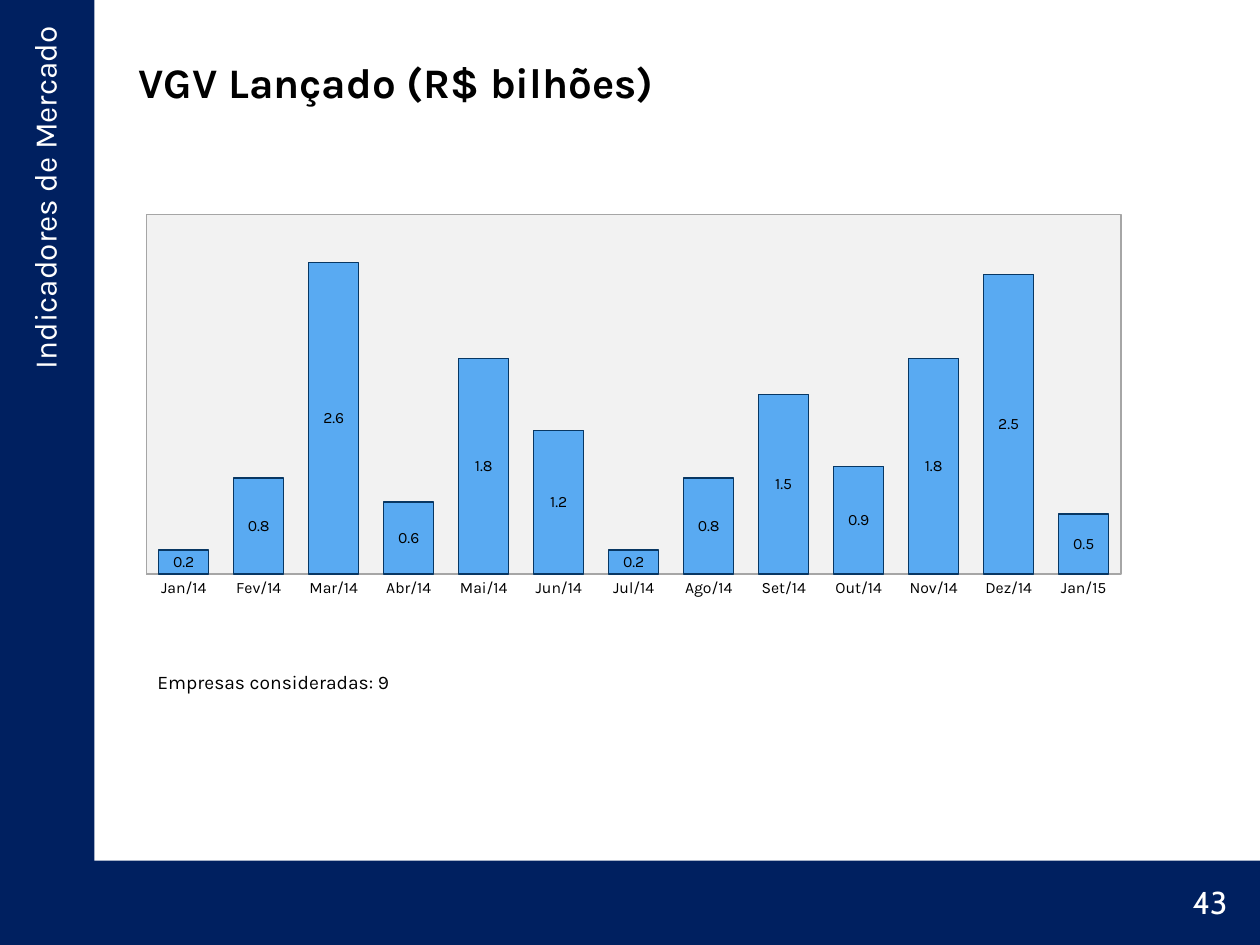
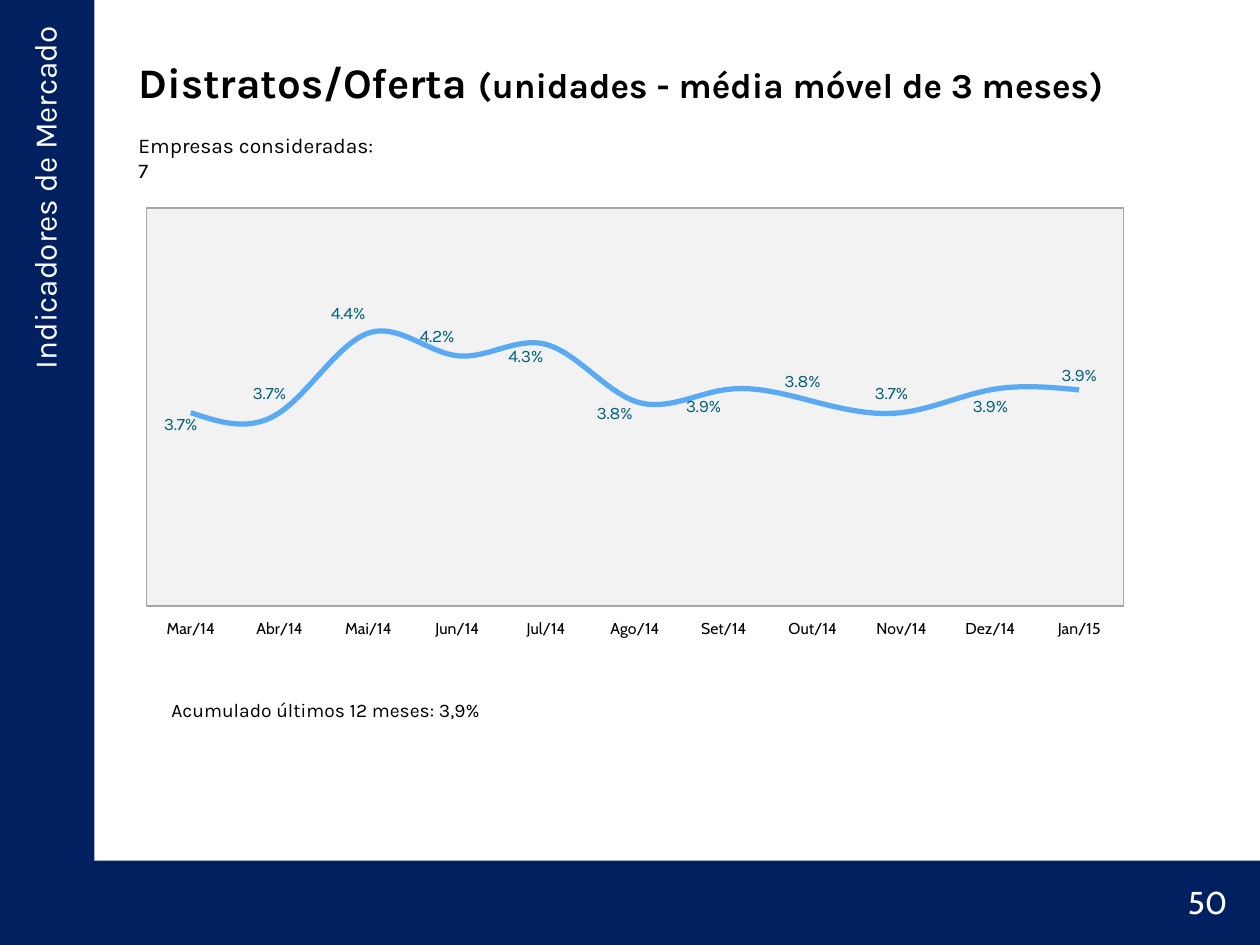
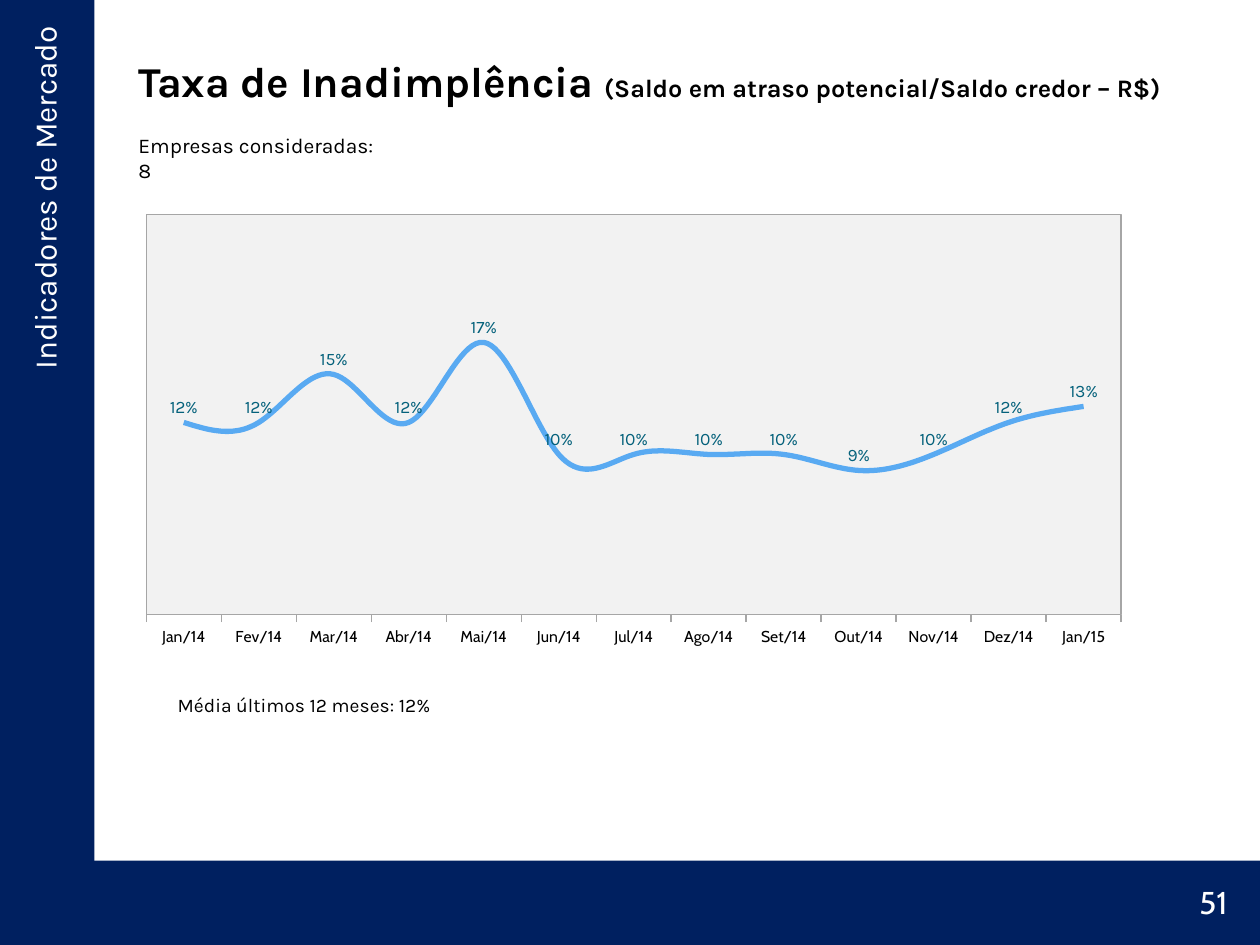
from pptx import Presentation
from pptx.chart.data import CategoryChartData
from pptx.dml.color import RGBColor
from pptx.enum.chart import XL_CHART_TYPE, XL_LABEL_POSITION, XL_TICK_MARK
from pptx.enum.shapes import MSO_SHAPE
from pptx.enum.text import MSO_ANCHOR, MSO_AUTO_SIZE, PP_ALIGN
from pptx.oxml import parse_xml
from pptx.oxml.ns import nsdecls
from pptx.util import Inches, Pt

COLORS = {
    "navy": "002060", "white": "FFFFFF", "black": "000000", "sky": "59AAF2", "coral": "FF6161",
    "outline": "083763", "plot": "F2F2F2", "border": "A6A6A6", "label": "04617B",
}
TEXT_FONT, NUMBER_FONT = "Karla", "Cabin"
WIDTH, HEIGHT = 10, 7.5
RAIL, BAND_TOP, OVERLAP = 0.75, 6.83, 0.01
SECTION = "Indicadores de Mercado"
MONTHS = ["Jan/14", "Fev/14", "Mar/14", "Abr/14", "Mai/14", "Jun/14", "Jul/14",
          "Ago/14", "Set/14", "Out/14", "Nov/14", "Dez/14", "Jan/15"]

SLIDES = [
    {
        "title": [("VGV Lançado (R$ bilhões)", 24)],
        "title_at": (1, 0.3, 8.5, 0.7),
        "number": "43",
        "companies": ("Empresas consideradas: 9", (1.15, 5.27, 2.3, 0.29), 11),
        "chart": {
            "kind": XL_CHART_TYPE.COLUMN_STACKED, "at": (1, 1.64, 8.06, 3.17),
            "plot_height": 0.9, "months": MONTHS, "range": (0, 3), "format": "#,##0.0",
            "values": [[0.2, 0.8, 2.6, 0.6, 1.8, 1.2, 0.2, 0.8, 1.5, 0.9, 1.8, 2.5, 0.5]],
            "axis_font": TEXT_FONT, "axis_line": True, "tick": XL_TICK_MARK.NONE,
        },
    },
    {
        "title": [("Distratos/Oferta ", 24), ("(unidades - média móvel de 3 meses)", 20)],
        "title_at": (1, 0.3, 8.5, 0.7),
        "number": "50",
        "companies": ("Empresas consideradas: 7", (1, 1, 2.12, 0.3), 12),
        "summary": ("Acumulado últimos 12 meses: 3,9%", (1.35, 5.5, 2.78, 0.23)),
        "chart": {
            "kind": XL_CHART_TYPE.LINE, "at": (1, 1.58, 8.08, 3.55),
            "plot_height": 0.89, "months": MONTHS[2:], "range": (0.02, 0.055), "format": "0.0%",
            "values": [[0.037, 0.037, 0.044, 0.042, 0.043, 0.038,
                        0.039, 0.038, 0.037, 0.039, 0.039], [None] * 10],
            "label_shifts": [(-0.01, 0.06), (-0.01, -0.01), (-0.02, -0.01), (-0.02, -0.01),
                             (-0.02, 0.06), (-0.02, 0.06), (-0.02, 0.07), (-0.01, -0.01),
                             (-0.01, -0.01), (0, 0.07)],
            "axis_font": NUMBER_FONT, "axis_line": False, "tick": XL_TICK_MARK.OUTSIDE,
        },
    },
    {
        "title": [("Taxa de Inadimplência ", 24.3),
                  ("(Saldo em atraso potencial/Saldo credor – R$)", 14.4)],
        "title_at": (1, 0.29, 8.5, 0.69),
        "number": "51",
        "companies": ("Empresas consideradas: 8", (1, 1, 2.12, 0.3), 12),
        "summary": ("Média últimos 12 meses: 12%", (1.4, 5.46, 2.15, 0.23)),
        "chart": {
            "kind": XL_CHART_TYPE.LINE, "at": (1, 1.63, 8.06, 3.57),
            "plot_height": 0.89, "months": MONTHS, "range": (0, 0.25), "format": "0%",
            "values": [[0.12, 0.12, 0.15, 0.12, 0.17, 0.1, 0.1,
                        0.1, 0.1, 0.09, 0.1, 0.12, 0.13]],
            "axis_font": NUMBER_FONT, "axis_line": True, "tick": XL_TICK_MARK.OUTSIDE,
        },
    },
]


def color(name):
    return RGBColor.from_string(COLORS[name])


def inches(box):
    return [Inches(length) for length in box]


def style(font, size, name="black", face=TEXT_FONT, bold=False):
    font.size, font.name, font.bold = Pt(size), face, bold
    font.color.rgb = color(name)


def add_run(paragraph, text, size, **look):
    run = paragraph.add_run()
    run.text = text
    style(run.font, size, **look)


def add_text(slide, text, box, size, align=PP_ALIGN.LEFT, **look):
    label = slide.shapes.add_textbox(*inches(box))
    label.text_frame.word_wrap = True
    paragraph = label.text_frame.paragraphs[0]
    paragraph.alignment = align
    add_run(paragraph, text, size, **look)
    return label


def add_frame(slide, layout):
    parts = []
    for box in ((0, BAND_TOP, WIDTH, HEIGHT - BAND_TOP), (0, 0, RAIL, BAND_TOP + OVERLAP)):
        band = slide.shapes.add_shape(MSO_SHAPE.RECTANGLE, *inches(box))
        band.shadow.inherit = False
        band.fill.solid()
        band.fill.fore_color.rgb = color("navy")
        band.line.fill.background()
        parts.append(band)
    section = add_text(slide, SECTION, (-2.55, 2.81, 5.8, 0.4), 18, PP_ALIGN.RIGHT, name="white")
    section.rotation = 270
    for part in parts + [section]:
        layout.shapes.element.append(part.element)


def add_title(slide, pieces, box):
    title = slide.shapes.title
    title.left, title.top, title.width, title.height = inches(box)
    frame = title.text_frame
    frame.auto_size = MSO_AUTO_SIZE.NONE
    frame.vertical_anchor = MSO_ANCHOR.MIDDLE
    frame.paragraphs[0].alignment = PP_ALIGN.LEFT
    for text, size in pieces:
        add_run(frame.paragraphs[0], text, size, bold=True)


def add_summary(slide, text, box):
    table = slide.shapes.add_table(1, 1, *inches(box)).table
    table.first_row = table.horz_banding = False
    cell = table.cell(0, 0)
    cell.fill.background()
    cell.vertical_anchor = MSO_ANCHOR.BOTTOM
    cell.margin_left = cell.margin_top = cell.margin_right = Inches(0.01)
    cell.margin_bottom = 0
    add_run(cell.text_frame.paragraphs[0], text, 11)


def manual_layout(**settings):
    fields = "".join(f'<c:{key} val="{value}"/>' for key, value in settings.items())
    return parse_xml(f'<c:layout {nsdecls("c")}><c:manualLayout>{fields}'
                     '</c:manualLayout></c:layout>')


def format_plot_area(chart, plot_height):
    area = chart.element.xpath("c:chart/c:plotArea")[0]
    for old in area.xpath("c:layout"):
        area.remove(old)
    area.insert(0, manual_layout(layoutTarget="inner", xMode="edge", yMode="edge",
                                 x=0.02, y=0.02, w=0.96, h=plot_height))
    area.append(parse_xml(
        f'<c:spPr {nsdecls("c", "a")}><a:solidFill><a:srgbClr val="{COLORS["plot"]}"/>'
        f'</a:solidFill><a:ln w="{Pt(0.75)}"><a:solidFill>'
        f'<a:srgbClr val="{COLORS["border"]}"/></a:solidFill></a:ln></c:spPr>'))


def shift_labels(chart, series, shifts, number_format):
    for index in range(len(shifts)):
        label = series.points[index].data_label
        style(label.font, 10, "label")
        label.position = XL_LABEL_POSITION.ABOVE
    for label, (x, y) in zip(chart.element.xpath(".//c:dLbl"), shifts):
        label[0].addnext(parse_xml(f'<c:numFmt {nsdecls("c")} formatCode="{number_format}" '
                                   'sourceLinked="0"/>'))
        label[0].addnext(manual_layout(x=x, y=y))


def format_axes(chart, content):
    values = chart.value_axis
    values.minimum_scale, values.maximum_scale = content["range"]
    values.has_major_gridlines = False
    values.visible = False
    months = chart.category_axis
    months.has_major_gridlines = False
    months.major_tick_mark = content["tick"]
    style(months.tick_labels.font, 9, face=content["axis_font"])
    if content["axis_line"]:
        months.format.line.color.rgb = color("border")
        months.format.line.width = Pt(0.75)
    else:
        months.format.line.fill.background()


def add_indicator(slide, content):
    data = CategoryChartData(number_format=content["format"])
    data.categories = content["months"]
    for number, values in enumerate(content["values"], 1):
        data.add_series(f"Series {number}", values)
    chart = slide.shapes.add_chart(content["kind"], *inches(content["at"]), data).chart
    chart.has_title = chart.has_legend = False
    style(chart.font, 10, face=NUMBER_FONT)
    format_axes(chart, content)

    plot = chart.plots[0]
    plot.vary_by_categories = False
    series = plot.series[0]
    labels = series.data_labels
    labels.show_value = True
    labels.number_format, labels.number_format_is_linked = content["format"], False
    if content["kind"] == XL_CHART_TYPE.LINE:
        for curve, name, width in zip(plot.series, ("sky", "coral"), (3, 2.5)):
            curve.smooth = True
            curve.format.line.color.rgb, curve.format.line.width = color(name), Pt(width)
        style(labels.font, 10, "label")
        labels.position = XL_LABEL_POSITION.ABOVE
        shift_labels(chart, series, content.get("label_shifts", []), content["format"])
    else:
        plot.gap_width, plot.overlap = 50, 100
        series.format.fill.solid()
        series.format.fill.fore_color.rgb = color("sky")
        series.format.line.color.rgb, series.format.line.width = color("outline"), Pt(0.75)
        style(labels.font, 9)
    format_plot_area(chart, content["plot_height"])


def main():
    deck = Presentation()
    deck.slide_width, deck.slide_height = Inches(WIDTH), Inches(HEIGHT)
    layout = deck.slide_layouts[5]
    for position, content in enumerate(SLIDES):
        slide = deck.slides.add_slide(layout)
        if position == 0:
            add_frame(slide, layout)
        add_title(slide, content["title"], content["title_at"])
        add_indicator(slide, content["chart"])
        add_text(slide, *content["companies"])
        if "summary" in content:
            add_summary(slide, *content["summary"])
        add_text(slide, content["number"], (8.92, 6.96, 0.92, 0.4), 18, PP_ALIGN.RIGHT,
                 name="white", face=NUMBER_FONT)
    deck.save("out.pptx")


if __name__ == "__main__":
    main()
